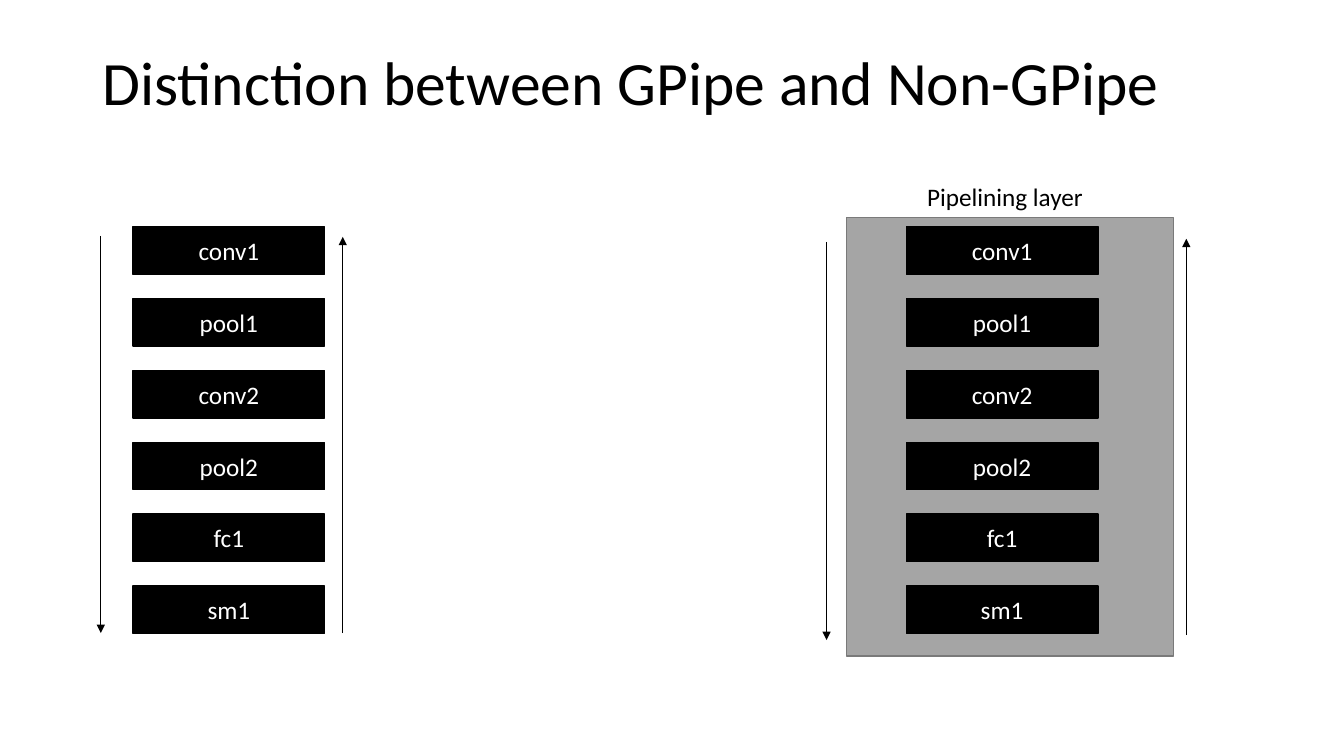
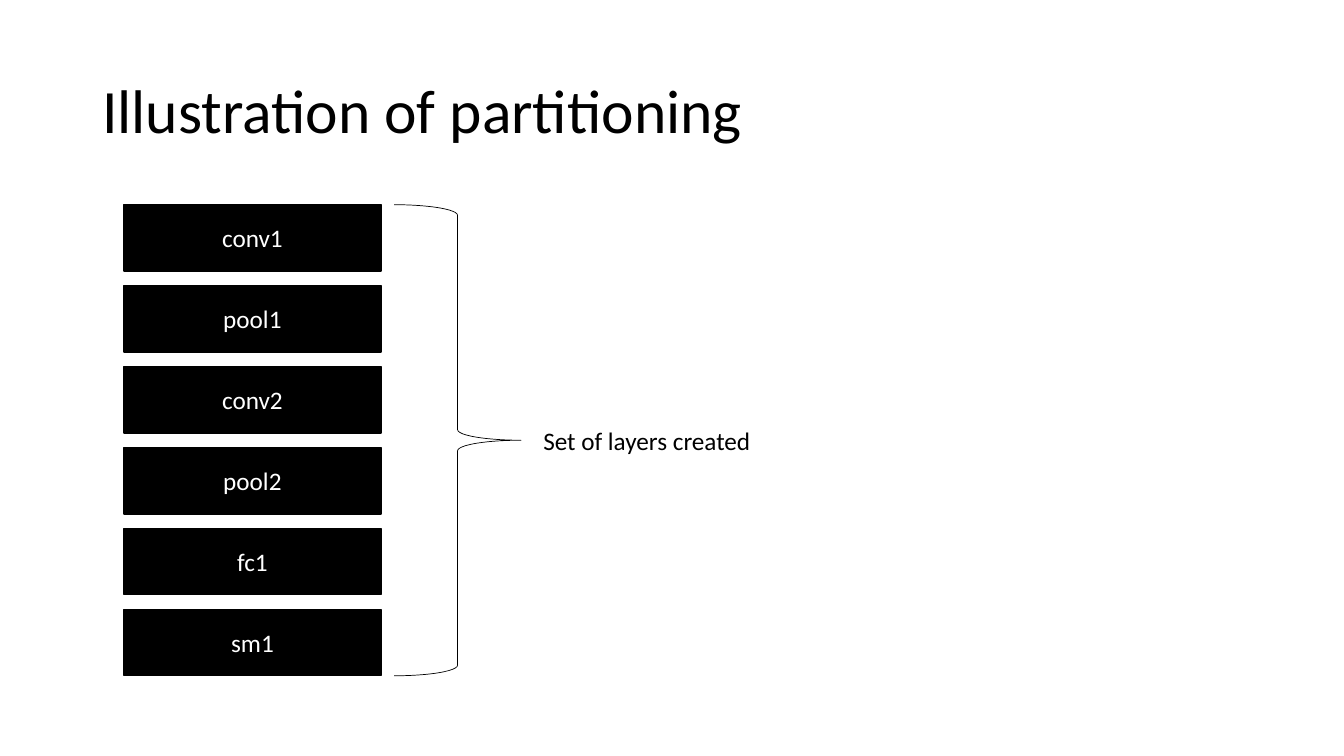
"""Build two slides on GPipe layer stacks and their partitioning."""
from lxml import etree
from pptx import Presentation
from pptx import util as u
from pptx.dml.color import RGBColor
from pptx.enum import shapes, text
from pptx.oxml import ns

COLORS = {"ink": "000000", "paper": "FFFFFF", "panel": "A5A5A5", "edge": "7A7A7A"}
FONT = "Calibri"
LAYERS = ["conv1", "pool1", "conv2", "pool2", "fc1", "sm1"]
RECTANGLE = shapes.MSO_SHAPE.RECTANGLE


def rgb(name):
    return RGBColor.from_string(COLORS[name])


def points(*lengths):
    return [u.Pt(length) for length in lengths]


def write(box, words, size=18, color="ink", align=text.PP_ALIGN.LEFT,
          anchor=text.MSO_ANCHOR.TOP, spacing=1.0):
    frame = box.text_frame
    frame.word_wrap = True
    frame.vertical_anchor = anchor
    para = frame.paragraphs[0]
    para.alignment = align
    para.line_spacing = spacing
    span = para.add_run()
    span.text = words
    span.font.name = FONT
    span.font.size = u.Pt(size)
    span.font.color.rgb = rgb(color)


def add_label(page, place, words, **style):
    write(page.shapes.add_textbox(*points(*place)), words, **style)


def add_titled_page(deck, words, height):
    page = deck.slides.add_slide(deck.slide_layouts[6])
    add_label(page, (66, 28.8, 828, height), words, size=44,
              anchor=text.MSO_ANCHOR.MIDDLE, spacing=0.9)
    return page


def add_figure(page, kind, place, fill=None, line="ink", width=1):
    shape = page.shapes.add_shape(kind, *points(*place))
    shape.shadow.inherit = False
    if fill:
        shape.fill.solid()
        shape.fill.fore_color.rgb = rgb(fill)
    else:
        shape.fill.background()
    shape.line.color.rgb = rgb(line)
    shape.line.width = u.Pt(width)
    return shape


def add_stack(page, left, top, width, height, pitch):
    for row, layer in enumerate(LAYERS):
        place = (left, top + row * pitch, width, height)
        box = add_figure(page, RECTANGLE, place, fill="ink")
        write(box, layer, color="paper", align=text.PP_ALIGN.CENTER,
              anchor=text.MSO_ANCHOR.MIDDLE)


def add_arrow(page, x, start, end):
    arrow = page.shapes.add_connector(
        shapes.MSO_CONNECTOR.STRAIGHT, *points(x, start, x, end))
    arrow.line.color.rgb = rgb("ink")
    arrow.line.width = u.Pt(0.5)
    properties = arrow.element.spPr
    outline = properties.find(ns.qn("a:ln"))
    etree.SubElement(outline, ns.qn("a:tailEnd"), type="triangle")
    etree.SubElement(properties, ns.qn("a:effectLst"))


def build_comparison(deck):
    page = add_titled_page(deck, "Distinction between GPipe and Non-GPipe", 64)
    add_figure(page, RECTANGLE, (604.8, 155.5, 233.3, 313.2), fill="panel", line="edge")
    add_label(page, (655.2, 126, 201.6, 28.8), "Pipelining layer")
    for left in (95, 647.3):
        add_stack(page, left, 162, 137, 34, 51.3)
    for x, start, end in ((72, 168.5, 452.2), (244.8, 452.2, 169.2),
                          (590.4, 172.8, 457.2), (847.4, 453.6, 170.6)):
        add_arrow(page, x, start, end)


def build_partitioning(deck):
    page = add_titled_page(deck, "Illustration of partitioning", 104.4)
    top, height, pitch = 146.2, 47.5, 57.8
    add_stack(page, 88.5, top, 183.6, height, pitch)
    stack_height = (len(LAYERS) - 1) * pitch + height
    add_figure(page, shapes.MSO_SHAPE.RIGHT_BRACE,
               (281.5, top, 90.7, stack_height), width=0.5)
    add_label(page, (381, 300.2, 308, 28.8), "Set of layers created")


def main():
    deck = Presentation()
    deck.slide_width, deck.slide_height = points(960, 540)
    build_comparison(deck)
    build_partitioning(deck)
    deck.save("out.pptx")


if __name__ == "__main__":
    main()
